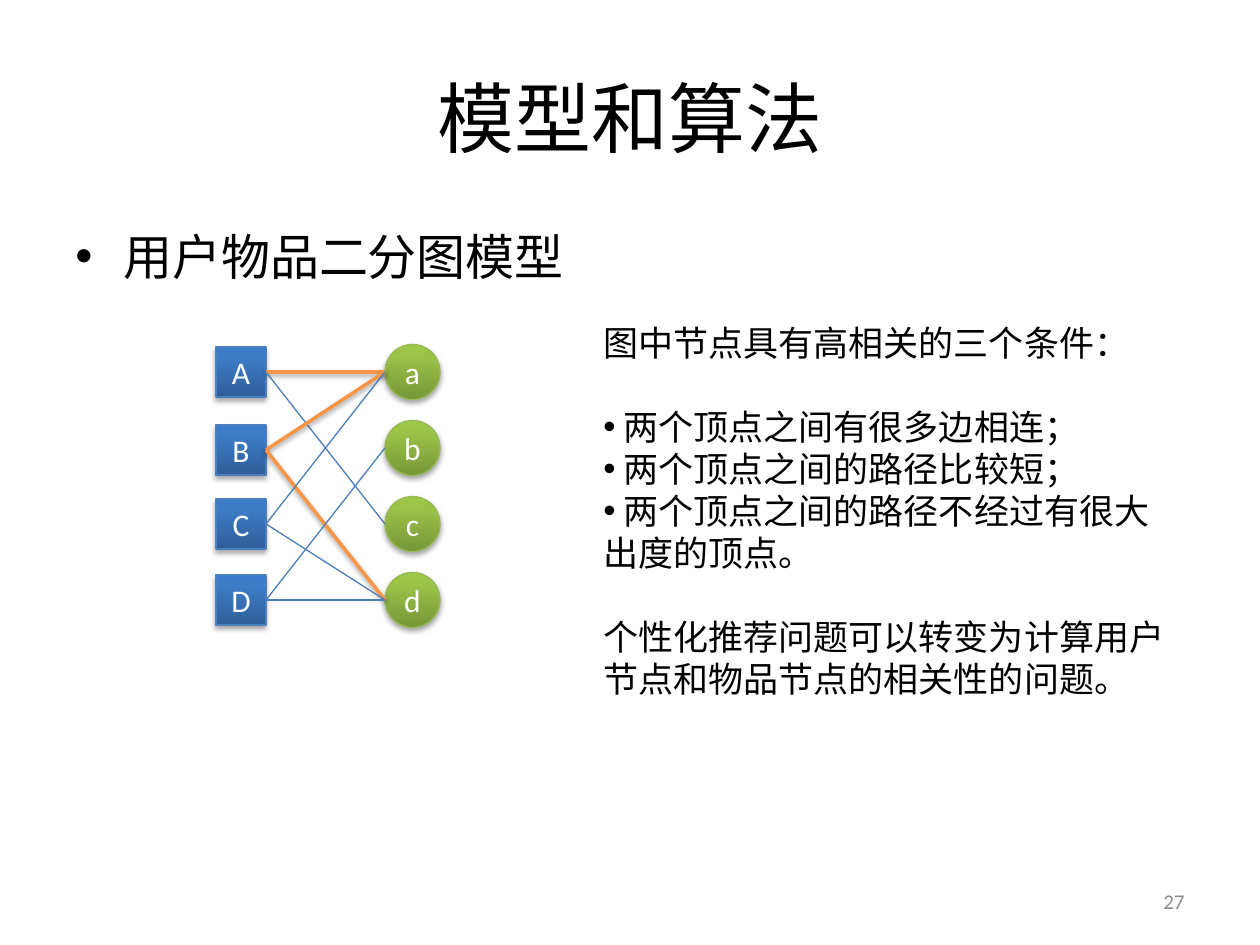
from lxml.etree import SubElement
from pptx import Presentation
from pptx.dml.color import RGBColor
from pptx.enum.shapes import MSO_CONNECTOR, MSO_SHAPE
from pptx.enum.text import MSO_ANCHOR, PP_ALIGN
from pptx.oxml.ns import qn
from pptx.util import Pt

PX = 914400 // 126
BLACK = RGBColor(0x00, 0x00, 0x00)
WHITE = RGBColor(0xFF, 0xFF, 0xFF)
GRAY = RGBColor(0x8C, 0x8C, 0x8C)
BLUE = RGBColor(0x4B, 0x7E, 0xBC)
GREEN = RGBColor(0x98, 0xB9, 0x55)
ORANGE = RGBColor(0xF7, 0x96, 0x46)
BLUE_STOPS = [(0, RGBColor(0x2F, 0x5F, 0x99)), (80, RGBColor(0x3D, 0x7C, 0xC7)),
              (100, RGBColor(0x3A, 0x7C, 0xCB))]
GREEN_STOPS = [(0, RGBColor(0x77, 0x97, 0x37)), (80, RGBColor(0x9B, 0xC3, 0x48)),
               (100, RGBColor(0x9D, 0xC7, 0x46))]


def write(shape, lines, size, color=BLACK, align=PP_ALIGN.LEFT,
          anchor=MSO_ANCHOR.TOP, indent=0, wrap=True):
    """Fill a shape with (text, has bullet, points before) lines."""
    frame = shape.text_frame
    frame.word_wrap = wrap
    frame.vertical_anchor = anchor
    for index, (text, bullet, before) in enumerate(lines):
        paragraph = frame.add_paragraph() if index else frame.paragraphs[0]
        paragraph.alignment = align
        paragraph.space_before = Pt(before)
        run = paragraph.add_run()
        run.text = text
        run.font.size = Pt(size)
        run.font.name = "Calibri"
        run.font.color.rgb = color
        if bullet:
            properties = paragraph._p.get_or_add_pPr()
            properties.set("marL", str(indent * PX))
            properties.set("indent", str(-indent * PX))
            SubElement(properties, qn("a:buFont")).set("typeface", "Arial")
            SubElement(properties, qn("a:buChar")).set("char", "•")


def set_shadow(shape, opacity=0, distance=0):
    """Replace the theme shadow by a soft one below, or by none."""
    effects = SubElement(shape._element.spPr, qn("a:effectLst"))
    if opacity:
        shadow = SubElement(effects, qn("a:outerShdw"), blurRad=str(Pt(3.1)),
                            dist=str(Pt(distance)), dir="5400000", rotWithShape="0")
        color = SubElement(shadow, qn("a:srgbClr"), val=str(BLACK))
        SubElement(color, qn("a:alpha"), val=str(opacity * 1000))


presentation = Presentation()
presentation.slide_width = 1260 * PX
presentation.slide_height = 945 * PX
slide = presentation.slides.add_slide(presentation.slide_layouts[6])
shapes = slide.shapes

title = shapes.add_textbox(63 * PX, 38 * PX, 1134 * PX, 158 * PX)
write(title, [("模型和算法", False, 0)], 44, align=PP_ALIGN.CENTER,
      anchor=MSO_ANCHOR.MIDDLE)

body = shapes.add_textbox(63 * PX, 220 * PX, 557 * PX, 624 * PX)
write(body, [("用户物品二分图模型", True, 5.6)], 28, indent=48)

# Users on the left, items on the right: name -> centre height
USERS = {"A": 372, "B": 450, "C": 524, "D": 600}
ITEMS = {"a": 372, "b": 448, "c": 524, "d": 600}
USER_LEFT, USER_SIZE = 216, 50
ITEM_LEFT, ITEM_SIZE = 385, 55

for centers, left, size, kind, stops, outline in [
    (USERS, USER_LEFT, USER_SIZE, MSO_SHAPE.RECTANGLE, BLUE_STOPS, BLUE),
    (ITEMS, ITEM_LEFT, ITEM_SIZE, MSO_SHAPE.OVAL, GREEN_STOPS, GREEN),
]:
    for name, center in centers.items():
        node = shapes.add_shape(kind, left * PX, center * PX - size * PX // 2,
                                size * PX, size * PX)
        node.fill.gradient()
        node.fill.gradient_angle = 90
        stop_list = node._element.spPr.find(qn("a:gradFill")).find(qn("a:gsLst"))
        stop_list.clear()
        for position, color in stops:
            stop = SubElement(stop_list, qn("a:gs"), pos=str(position * 1000))
            SubElement(stop, qn("a:srgbClr"), val=str(color))
        node.line.color.rgb = outline
        node.line.width = Pt(0.75)
        set_shadow(node, opacity=35, distance=1.8)
        write(node, [(name, False, 0)], 18, color=WHITE, align=PP_ALIGN.CENTER,
              anchor=MSO_ANCHOR.MIDDLE, wrap=False)

HIGHLIGHTED = ["Aa", "Ba", "Bd"]
for user, item in ["Aa", "Ac", "Ba", "Bd", "Ca", "Cd", "Db", "Dd"]:
    edge = shapes.add_connector(
        MSO_CONNECTOR.STRAIGHT, (USER_LEFT + USER_SIZE) * PX, USERS[user] * PX,
        ITEM_LEFT * PX, ITEMS[item] * PX)
    if user + item in HIGHLIGHTED:
        edge.line.color.rgb = ORANGE
        edge.line.width = Pt(2)
        set_shadow(edge, opacity=38, distance=1.6)
    else:
        edge.line.color.rgb = BLUE
        edge.line.width = Pt(0.75)
        set_shadow(edge)

page_number = shapes.add_textbox(903 * PX, 876 * PX, 294 * PX, 50 * PX)
write(page_number, [("27", False, 0)], 12, color=GRAY, align=PP_ALIGN.RIGHT,
      anchor=MSO_ANCHOR.MIDDLE)

conditions = shapes.add_textbox(591 * PX, 315 * PX, 591 * PX, 394 * PX)
write(conditions, [
    ("图中节点具有高相关的三个条件：", False, 0),
    (" 两个顶点之间有很多边相连；", True, 24),
    (" 两个顶点之间的路径比较短；", True, 0),
    (" 两个顶点之间的路径不经过有很大出度的顶点。", True, 0),
    ("个性化推荐问题可以转变为计算用户节点和物品节点的相关性的问题。", False, 24),
], 20)

presentation.save("out.pptx")
